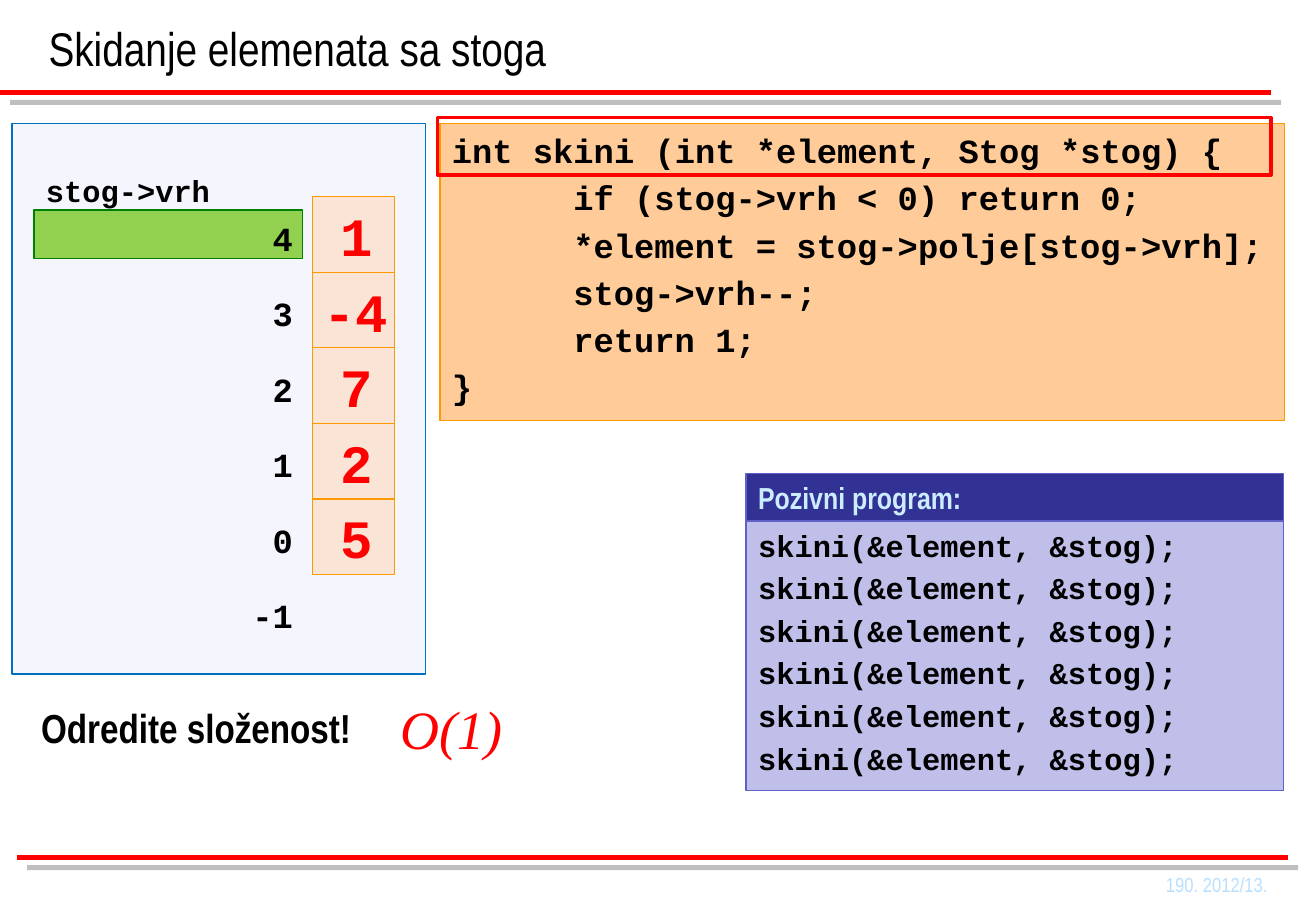
from lxml import etree
from pptx import Presentation
from pptx.dml.color import RGBColor
from pptx.enum.shapes import MSO_CONNECTOR, MSO_SHAPE
from pptx.enum.text import MSO_ANCHOR, PP_ALIGN
from pptx.oxml.ns import qn
from pptx.util import Inches, Pt

RECTANGLE, STRAIGHT = MSO_SHAPE.RECTANGLE, MSO_CONNECTOR.STRAIGHT
TOP, MIDDLE, BOTTOM = MSO_ANCHOR.TOP, MSO_ANCHOR.MIDDLE, MSO_ANCHOR.BOTTOM
LEFT, CENTER, RIGHT = PP_ALIGN.LEFT, PP_ALIGN.CENTER, PP_ALIGN.RIGHT

BLACK = RGBColor(0x00, 0x00, 0x00)
RED = RGBColor(0xFF, 0x00, 0x00)
PEACH = RGBColor(0xFF, 0xCC, 0x99)
ORANGE = RGBColor(0xFF, 0x99, 0x00)
NAVY = RGBColor(0x32, 0x32, 0x94)
VIOLET = RGBColor(0x60, 0x60, 0xC9)
PALE_BLUE = RGBColor(0xCC, 0xEC, 0xFF)
FOOTER_BLUE = RGBColor(0xB8, 0xDF, 0xFF)
LAVENDER = RGBColor(0xE8, 0xE8, 0xFA)
BLUE = RGBColor(0x00, 0x70, 0xC0)
LIME = RGBColor(0x92, 0xD0, 0x50)
GREEN = RGBColor(0x00, 0x80, 0x00)

NARROW, MONO, SERIF = "Arial Narrow", "Courier New", "Times New Roman"

CODE = [
    "int skini (int *element, Stog *stog) {",
    "\tif (stog->vrh < 0) return 0;",
    "\t*element = stog->polje[stog->vrh];",
    "\tstog->vrh--;",
    "\treturn 1;",
    "}",
]
CALLS = ["skini(&element, &stog);"] * 6
STACK = ["1", "-4", "7", "2", "5"]


def add_tab_stop(paragraph, position):
    """Set one left tab stop, in inches, on a paragraph."""
    stops = etree.SubElement(paragraph._p.get_or_add_pPr(), qn("a:tabLst"))
    etree.SubElement(stops, qn("a:tab"), pos=str(Inches(position)), algn="l")


def write(shape, lines, size, font=MONO, color=BLACK, bold=True, italic=False,
          align=LEFT, anchor=TOP, wrap=True):
    """Fill a shape with formatted paragraphs."""
    frame = shape.text_frame
    frame.word_wrap = wrap
    frame.vertical_anchor = anchor
    frame.margin_left = frame.margin_right = Inches(0.1)
    frame.margin_top = frame.margin_bottom = Inches(0.05)
    for index, line in enumerate(lines):
        paragraph = frame.add_paragraph() if index else frame.paragraphs[0]
        paragraph.alignment = align
        paragraph.space_before = Pt(round(0.2 * size, 1) if index else 0)
        if line.startswith("\t"):
            add_tab_stop(paragraph, 1)
        run = paragraph.add_run()
        run.text = line
        run.font.name = font
        run.font.size = Pt(size)
        run.font.bold = bold
        run.font.italic = italic
        run.font.color.rgb = color


def add_label(slide, box, text, size, **style):
    """Add a one-line text box."""
    write(slide.shapes.add_textbox(*map(Inches, box)), [text], size, **style)


def add_box(slide, box, fill, line, opacity=None, width=0.75):
    """Add a rectangle, optionally hollow or translucent."""
    shape = slide.shapes.add_shape(RECTANGLE, *map(Inches, box))
    shape.shadow.inherit = False
    shape.line.color.rgb = line
    shape.line.width = Pt(width)
    if fill is None:
        shape.fill.background()
    else:
        shape.fill.solid()
        shape.fill.fore_color.rgb = fill
    if opacity:
        color = shape.fill._xPr.find(qn("a:solidFill"))[0]
        etree.SubElement(color, qn("a:alpha"), val=str(opacity * 1000))
    return shape


def add_rule(slide, left, top, width):
    """Add a red rule with an offset grey shadow."""
    rule = slide.shapes.add_connector(
        STRAIGHT, *map(Inches, (left, top, left + width, top)))
    rule.line.color.rgb = RED
    rule.line.width = Pt(3)
    effects = etree.SubElement(rule._element.spPr, qn("a:effectLst"))
    shadow = etree.SubElement(effects, qn("a:outerShdw"), dist=str(Pt(8.5)),
                              dir="2700000", algn="ctr", rotWithShape="0")
    color = etree.SubElement(shadow, qn("a:srgbClr"), val="808080")
    etree.SubElement(color, qn("a:alpha"), val="50000")


def add_frame(slide, width):
    """Place the title, the two rules and the footer."""
    add_rule(slide, 0, 0.76, width)
    add_rule(slide, 0.14, 7.06, width)
    title = slide.shapes.title
    title.left, title.top, title.width, title.height = map(
        Inches, (0.3, 0, 10.16, 0.68))
    write(title, ["Skidanje elemenata sa stoga"], 28, font=NARROW, bold=False,
          anchor=BOTTOM)
    add_label(slide, (8.53, 7.11, 2, 0.35), "190. 2012/13.", 12, font=NARROW,
              color=FOOTER_BLUE, bold=False, align=RIGHT, anchor=MIDDLE)


def add_function(slide, left, top, width, height):
    """Place the function listing and outline its first line."""
    listing = add_box(slide, (left, top, width, height), PEACH, ORANGE)
    write(listing, CODE, 20)
    add_box(slide, (left - 0.02, top - 0.05, width - 0.09, 0.47), None, RED, width=2)


def add_caller(slide, left, top, width, height):
    """Place the calling program under its heading."""
    heading_height = 0.39
    heading = add_box(slide, (left, top, width, heading_height), NAVY, VIOLET)
    write(heading, ["Pozivni program:"], 18, font=NARROW, color=PALE_BLUE,
          anchor=MIDDLE)
    calls = add_box(slide, (left, top + heading_height, width,
                            height - heading_height), VIOLET, VIOLET, opacity=40)
    write(calls, CALLS, 18)


def add_stack(slide, left, top, width, height):
    """Place the stack cells, their indices and the top-of-stack marker."""
    add_box(slide, (left, top, width, height), LAVENDER, BLUE, opacity=40)
    add_box(slide, (left + 0.18, top + 0.71, 2.21, 0.4), LIME, GREEN)
    add_label(slide, (left + 0.18, top + 0.35, 1.63, 0.4), "stog->vrh", 18)
    cell_left, cell_top = left + 2.47, top + 0.6
    pitch = 3.11 / len(STACK)
    for row, value in enumerate(STACK):
        cell = (cell_left, cell_top + row * pitch, 0.68, pitch)
        add_box(slide, cell, PEACH, ORANGE, opacity=40)
        text_left = cell_left - (0.01 if len(value) > 1 else -0.13)
        text_width = 0.74 if len(value) > 1 else 0.47
        add_label(slide, (text_left, cell[1], text_width, 0.64), value, 32,
                  color=RED, align=CENTER, wrap=False)
    for row in range(len(STACK) + 1):
        add_label(slide, (left + 1.87, cell_top + 0.12 + row * pitch, 0.54, 0.44),
                  str(len(STACK) - 1 - row), 20, align=RIGHT, wrap=False)


def add_question(slide, left, top):
    """Place the complexity question and its answer."""
    add_label(slide, (left, top, 3.47, 0.51), "Odredite složenost!", 24, font=NARROW)
    add_label(slide, (left + 2.96, top - 0.06, 1.05, 0.64), "O(1)", 32, font=SERIF,
              color=RED, bold=False, italic=True, wrap=False)


def main():
    """Build and save the slide."""
    presentation = Presentation()
    presentation.slide_width = Inches(10.83)
    presentation.slide_height = Inches(7.5)
    slide = presentation.slides.add_slide(presentation.slide_layouts[5])
    add_frame(slide, 10.46)
    add_function(slide, 3.62, 1.02, 6.95, 2.44)
    add_caller(slide, 6.14, 3.9, 4.42, 2.61)
    add_stack(slide, 0.1, 1.02, 3.4, 4.53)
    add_question(slide, 0.24, 5.74)
    presentation.save("out.pptx")


if __name__ == "__main__":
    main()
